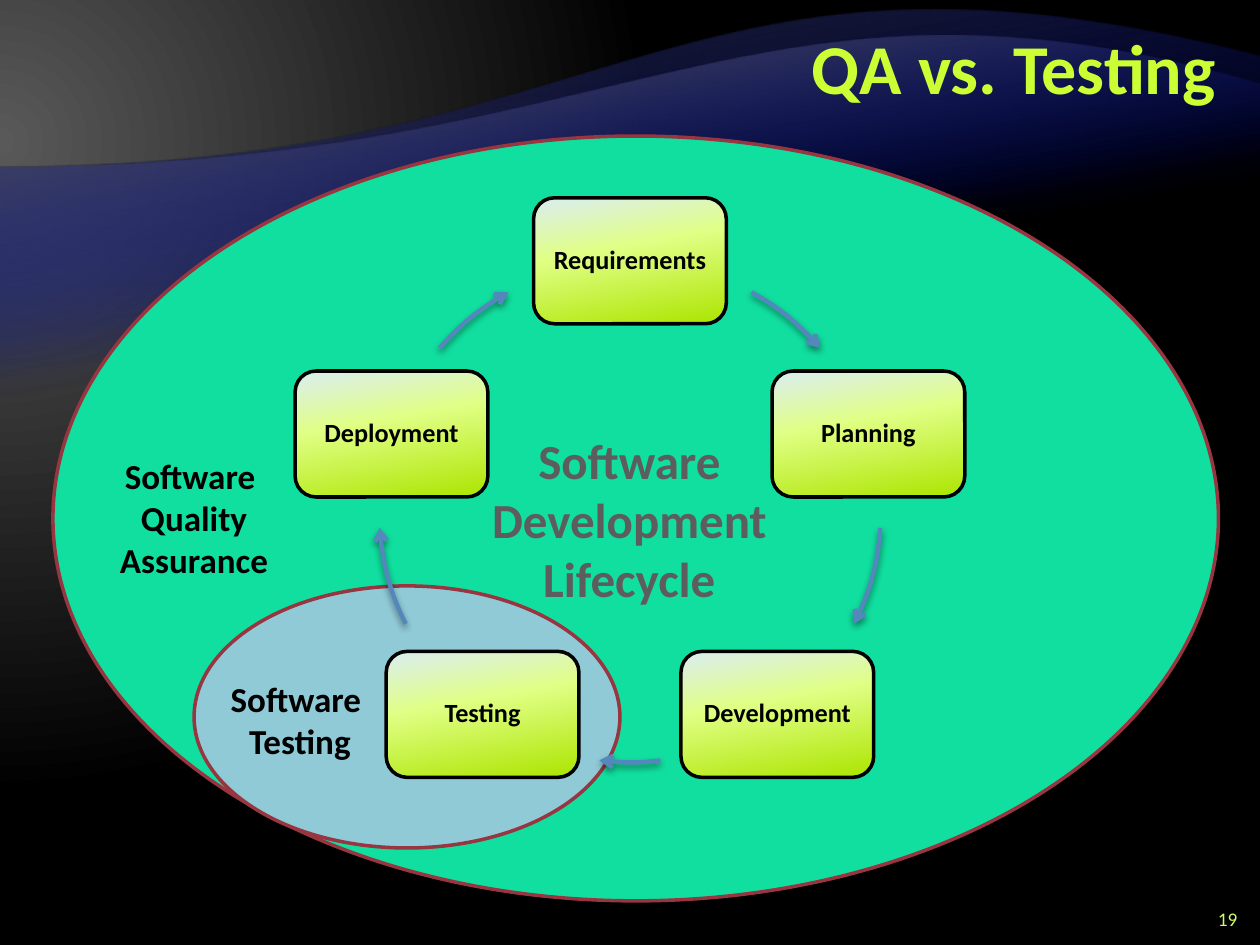
from math import cos, radians, sin, tan

from lxml.etree import SubElement
from pptx import Presentation
from pptx.dml.color import RGBColor
from pptx.enum.shapes import MSO_SHAPE as SHAPE
from pptx.enum.text import MSO_ANCHOR as ANCHOR, MSO_AUTO_SIZE as AUTO, PP_ALIGN as ALIGN
from pptx.oxml import parse_xml
from pptx.oxml.ns import nsdecls, qn
from pptx.util import Inches, Pt

FONT = "Calibri"
BLACK = RGBColor(0x00, 0x00, 0x00)
GREEN = RGBColor(0x11, 0xDF, 0x9F)
PALE_BLUE = RGBColor(0x90, 0xCA, 0xD7)
MAROON = RGBColor(0x97, 0x35, 0x40)
ARROW_BLUE = RGBColor(0x54, 0x88, 0xBC)
GRAY = RGBColor(0x5D, 0x5D, 0x5D)
LIME = RGBColor(0xCC, 0xFF, 0x33)
PALE_LIME = RGBColor(0xCC, 0xFF, 0x66)
MIDNIGHT = RGBColor(0x00, 0x0D, 0x9E)
CHARCOAL = RGBColor(0x26, 0x26, 0x26)
DIM_GRAY = RGBColor(0x59, 0x59, 0x59)

PHASE_STOPS = [(0, RGBColor(0xDA, 0xED, 0xF2), 100),
               (40, RGBColor(0xE0, 0xFF, 0x85), 100),
               (100, RGBColor(0xAC, 0xE5, 0x00), 100)]
PHASES = ["Requirements", "Planning", "Development", "Testing", "Deployment"]
# Start and end of the arrow after each phase, in degrees clockwise from east
ARROW_SPANS = [(-61, -40.7), (3.7, 26.6), (83, 97), (153.4, 176.3), (220.7, 241)]
CYCLE_X, CYCLE_Y, CYCLE_R = 5, 4.06, 1.99
PHASE_W, PHASE_H, PHASE_PAD = 1.53, 1, 0.05


def set_gradient(parent, stops, direction):
    """Replace the noFill child of parent; a stop is (percent, colour, opacity)."""
    gs = ""
    for pos, color, opacity in stops:
        alpha = f'<a:alpha val="{opacity * 1000}"/>' if opacity < 100 else ""
        gs += f'<a:gs pos="{pos * 1000}"><a:srgbClr val="{color}">{alpha}</a:srgbClr></a:gs>'
    grad = parse_xml(f'<a:gradFill {nsdecls("a")} rotWithShape="1">'
                     f'<a:gsLst>{gs}</a:gsLst>{direction}</a:gradFill>')
    parent.replace(parent.find(qn("a:noFill")), grad)


def linear(angle):
    return f'<a:lin ang="{angle * 60000}" scaled="0"/>'


def set_background(slide):
    slide.background.fill.background()
    bg = slide._element.find(".//" + qn("p:bgPr"))
    set_gradient(bg, [(0, DIM_GRAY, 100), (83, BLACK, 100)],
                 '<a:path path="circle"><a:fillToRect l="20000" t="30000" '
                 'r="135000" b="100000"/></a:path>')


def add_curve(slide, frame, steps):
    """Add a freeform filling frame; steps are (command, points inside the frame)."""
    x, y, w, h = map(Inches, frame)
    fb = slide.shapes.build_freeform(x, y)
    fb.add_line_segments([(x + w, y), (x + w, y + h)])
    sp = fb.convert_to_shape()
    outline = sp._element.spPr.find(".//" + qn("a:path"))
    for child in list(outline):
        outline.remove(child)
    for command, points in steps:
        step = SubElement(outline, qn(f"a:{command}"))
        for px, py in points:
            SubElement(step, qn("a:pt"), x=str(Inches(px)), y=str(Inches(py)))
    sp.shadow.inherit = False
    sp.fill.background()
    return sp


def add_wave(slide, top, bottom, control, edge_color):
    """Draw a band upside down, then turn it so that its crest is on top."""
    def turned(x, y):
        return 10 - x, bottom - y

    sp = add_curve(slide, (0, top, 10, bottom - top), [
        ("moveTo", [turned(10, bottom)]),
        ("lnTo", [turned(0, bottom)]),
        ("lnTo", [turned(0, 1.33)]),
        ("cubicBezTo", [turned(5, 1.33), turned(*control), turned(10, top)]),
        ("lnTo", [turned(10, bottom)]),
        ("close", [])])
    sp.rotation = 180
    sp.line.fill.background()
    set_gradient(sp._element.spPr,
                 [(65, MIDNIGHT, 0), (100, edge_color, 100)], linear(80))


def format_text(tf, text, size, color, bold=True, align=ALIGN.CENTER):
    tf.text = text
    tf.word_wrap = True
    for p in tf.paragraphs:
        p.alignment = align
        for r in p.runs:
            r.font.name = FONT
            r.font.size = Pt(size)
            r.font.bold = bold
            r.font.color.rgb = color


def add_label(slide, box, text, size, color, fit=AUTO.SHAPE_TO_FIT_TEXT, **style):
    tf = slide.shapes.add_textbox(*map(Inches, box)).text_frame
    format_text(tf, text, size, color, **style)
    tf.auto_size = fit
    return tf


def add_bordered(slide, kind, box, border):
    sp = slide.shapes.add_shape(kind, *map(Inches, box))
    sp.shadow.inherit = False
    sp.line.color.rgb = border
    sp.line.width = Pt(2)
    return sp


def add_ellipse(slide, box, color):
    sp = add_bordered(slide, SHAPE.OVAL, box, MAROON)
    sp.fill.solid()
    sp.fill.fore_color.rgb = color


def add_phase(slide, name, angle):
    x = CYCLE_X + CYCLE_R * cos(radians(angle)) - PHASE_W / 2
    y = CYCLE_Y + CYCLE_R * sin(radians(angle)) - PHASE_H / 2
    sp = add_bordered(slide, SHAPE.ROUNDED_RECTANGLE, (x, y, PHASE_W, PHASE_H), BLACK)
    sp.fill.background()
    set_gradient(sp._element.spPr, PHASE_STOPS, linear(80))

    box = (x + PHASE_PAD, y + PHASE_PAD, PHASE_W - 2 * PHASE_PAD, PHASE_H - 2 * PHASE_PAD)
    tf = add_label(slide, box, name, 15, BLACK, fit=AUTO.NONE)
    tf.margin_left = tf.margin_right = tf.margin_top = tf.margin_bottom = Inches(0.06)
    tf.vertical_anchor = ANCHOR.MIDDLE
    tf.paragraphs[0].line_spacing = 0.9


def add_cycle_arrow(slide, start, end):
    """Draw one arc of the cycle, framed by the whole circle."""
    a, b = radians(start), radians(end)
    k = 4 / 3 * tan((b - a) / 4)

    def at(angle, pull=0):
        return (CYCLE_R * (1 + cos(angle) - pull * sin(angle)),
                CYCLE_R * (1 + sin(angle) + pull * cos(angle)))

    frame = (CYCLE_X - CYCLE_R, CYCLE_Y - CYCLE_R, 2 * CYCLE_R, 2 * CYCLE_R)
    sp = add_curve(slide, frame, [("moveTo", [at(a)]),
                                  ("cubicBezTo", [at(a, k), at(b, -k), at(b)])])
    sp.line.color.rgb = ARROW_BLUE
    sp.line.width = Pt(2.5)
    SubElement(sp.line._get_or_add_ln(), qn("a:tailEnd"), type="arrow")
    spPr = sp._element.spPr
    spPr.replace(spPr.find(qn("a:effectLst")), parse_xml(
        f'<a:effectLst {nsdecls("a")}><a:outerShdw blurRad="{Pt(4)}" '
        f'dist="{Pt(2)}" dir="5400000" rotWithShape="0"><a:srgbClr val="{BLACK}">'
        '<a:alpha val="43000"/></a:srgbClr></a:outerShdw></a:effectLst>'))


def add_title(slide, text):
    title = slide.shapes.title
    title.left, title.top, title.width, title.height = map(Inches, (2, 0.08, 7.75, 1))
    tf = title.text_frame
    format_text(tf, text, 40, LIME, align=ALIGN.RIGHT)
    tf.vertical_anchor = ANCHOR.MIDDLE
    tf.paragraphs[0].line_spacing = Pt(40)
    slide.shapes._spTree.append(title._element)  # in front of the waves


def main():
    prs = Presentation()
    prs.slide_width, prs.slide_height = Inches(10), Inches(7.5)
    slide = prs.slides.add_slide(prs.slide_layouts[5])

    set_background(slide)
    add_wave(slide, 0.45, 6.53, (5.34, -0.75), CHARCOAL)
    add_wave(slide, 0.67, 5.57, (5.98, -0.49), DIM_GRAY)

    add_ellipse(slide, (0.42, 1.08, 9.25, 6.07), GREEN)
    add_label(slide, (0.58, 3.56, 1.92, 1.11), "Software \vQuality Assurance", 20, BLACK)
    add_ellipse(slide, (1.54, 4.65, 3.38, 2.08), PALE_BLUE)
    add_label(slide, (1.42, 5.33, 1.92, 0.77), "Software \vTesting", 20, BLACK)

    for i, (name, span) in enumerate(zip(PHASES, ARROW_SPANS)):
        add_phase(slide, name, -90 + i * 360 / len(PHASES))
        add_cycle_arrow(slide, *span)

    add_title(slide, "QA vs. Testing")
    number = add_label(slide, (9.42, 7.17, 0.5, 0.25), "19", 11, PALE_LIME,
                       fit=AUTO.NONE, bold=False, align=ALIGN.RIGHT)
    number.vertical_anchor = ANCHOR.MIDDLE
    add_label(slide, (3.58, 3.37, 2.83, 1.51),
              "Software\vDevelopment\vLifecycle", 28, GRAY)
    prs.save("out.pptx")


if __name__ == "__main__":
    main()
